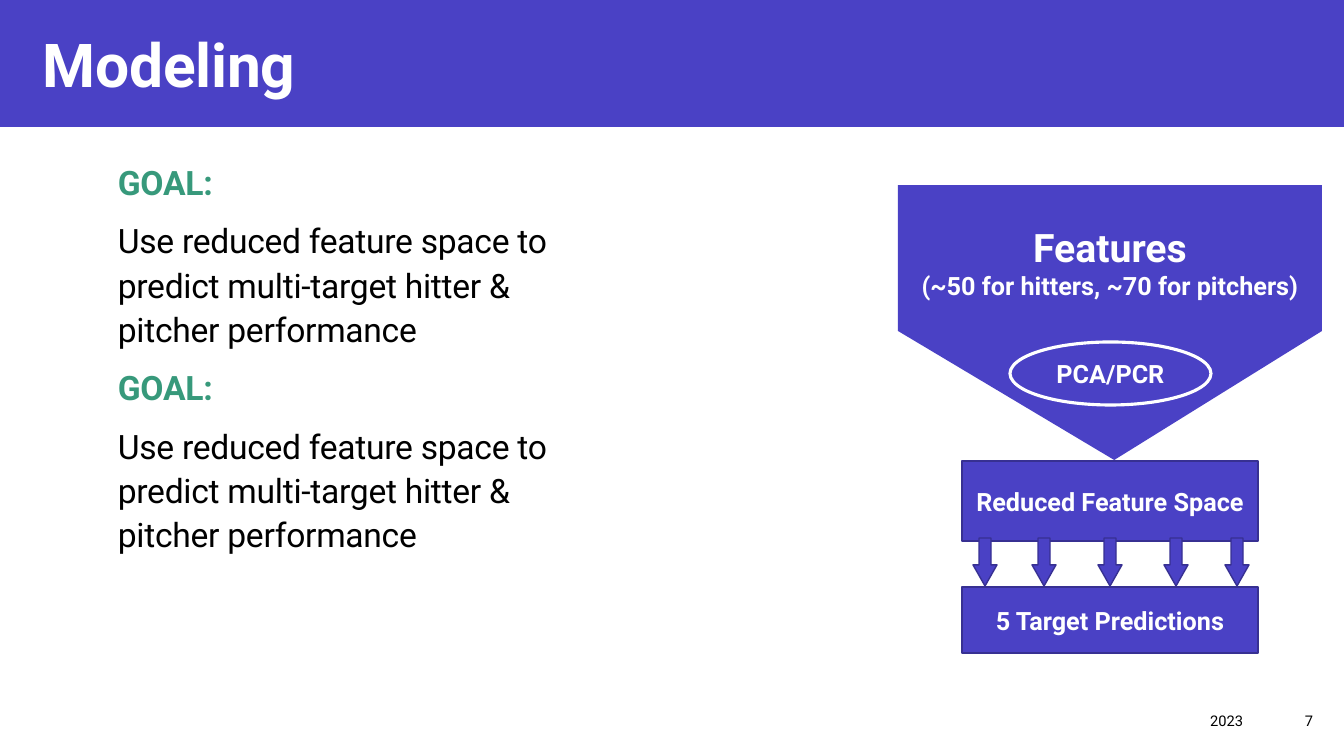
from pptx import Presentation
from pptx import util as u
from pptx.dml import color
from pptx.enum import shapes, text

COLOURS = {
    "indigo": "4A41C5",
    "edge": "373092",
    "green": "37997B",
    "black": "000000",
    "white": "FFFFFF",
}
FORM = shapes.MSO_SHAPE
ALIGN = text.PP_ALIGN
ANCHOR = text.MSO_ANCHOR


class Slide:
    """Holds the style, the page and the container that receives new elements."""

    font = "Roboto"
    scale = 914400 / 100.8

    def __init__(self, deck, width, height):
        deck.slide_width, deck.slide_height = self.px(width, height)
        self.page = deck.slides.add_slide(deck.slide_layouts[6])
        self.target = self.page.shapes

    def px(self, *lengths):
        return [u.Emu(round(length * self.scale)) for length in lengths]

    def colour(self, name):
        return color.RGBColor.from_string(COLOURS[name])

    def start_group(self):
        self.target = self.page.shapes.add_group_shape().shapes

    def fill_text(self, box, lines, align, anchor, spc=None, spacing=None, before=None):
        frame = box.text_frame
        frame.word_wrap = True
        frame.vertical_anchor = anchor
        for index, (words, size, name, bold) in enumerate(lines):
            para = frame.add_paragraph() if index else frame.paragraphs[0]
            para.alignment = align
            para.line_spacing = spacing
            para.space_before = before
            para.font.name = self.font
            para.font.size = u.Pt(size)
            para.font.bold = bold
            para.font.color.rgb = self.colour(name)
            span = para.add_run()
            span.text = words
            if spc is not None:
                span._r.get_or_add_rPr().set("spc", str(spc))

    def text(self, place, lines, align=ALIGN.LEFT, anchor=ANCHOR.TOP, **spacing):
        box = self.target.add_textbox(*self.px(*place))
        self.fill_text(box, lines, align, anchor, **spacing)

    def shape(self, form, place, line=None, weight=1, label=None, turn=0, adjust=()):
        box = self.target.add_shape(form, *self.px(*place))
        box.shadow.inherit = False
        box.rotation = turn
        box.fill.solid()
        box.fill.fore_color.rgb = self.colour("indigo")
        if line:
            box.line.color.rgb = self.colour(line)
            box.line.width = u.Pt(weight)
        else:
            box.line.fill.background()
        for index, value in enumerate(adjust):
            box.adjustments[index] = value
        if label:
            self.fill_text(box, [(label, 18, "white", True)], ALIGN.CENTER, ANCHOR.MIDDLE)


def main():
    deck = Presentation()
    slide = Slide(deck, 1344, 756)

    slide.shape(FORM.RECTANGLE, (0, 0, 1344, 127))
    slide.text((33, 20, 1107, 86), [("Modeling", 43.2, "white", True)],
               anchor=ANCHOR.MIDDLE, spc=-20)

    goal = [
        ("GOAL:", 24, "green", True),
        ("Use reduced feature space to predict multi-target hitter & pitcher performance",
         24, "black", False),
    ]
    slide.text((108, 153, 479, 547), goal * 2, spc=-20, spacing=1.1, before=u.Pt(10))

    for words, left, width in (("2023", 773, 480), ("7", 1253, 70)):
        slide.text((left, 701, width, 40), [(words, 10.5, "black", False)],
                   ALIGN.RIGHT, ANCHOR.MIDDLE)

    slide.start_group()
    slide.shape(FORM.RECTANGLE, (898, 185, 424, 146))
    slide.text((898, 218, 424, 89), [
        ("Features", 28, "white", True),
        ("(~50 for hitters, ~70 for pitchers)", 18, "white", True),
    ], ALIGN.CENTER)
    slide.shape(FORM.ISOSCELES_TRIANGLE, (898, 331, 424, 129), turn=180, adjust=(0.49,))
    slide.shape(FORM.RECTANGLE, (962, 461, 296, 80), "edge", label="Reduced Feature Space")
    for centre in (985, 1044, 1110, 1176, 1237):
        slide.shape(FORM.RIGHT_ARROW, (centre - 24, 550, 48, 24), "edge",
                    turn=90, adjust=(0.5, 0.88))
    slide.shape(FORM.OVAL, (1010, 342, 201, 63), "white", 2.25, "PCA/PCR")
    slide.shape(FORM.RECTANGLE, (962, 587, 296, 66), "edge", label="5 Target Predictions")

    deck.save("out.pptx")


if __name__ == "__main__":
    main()
